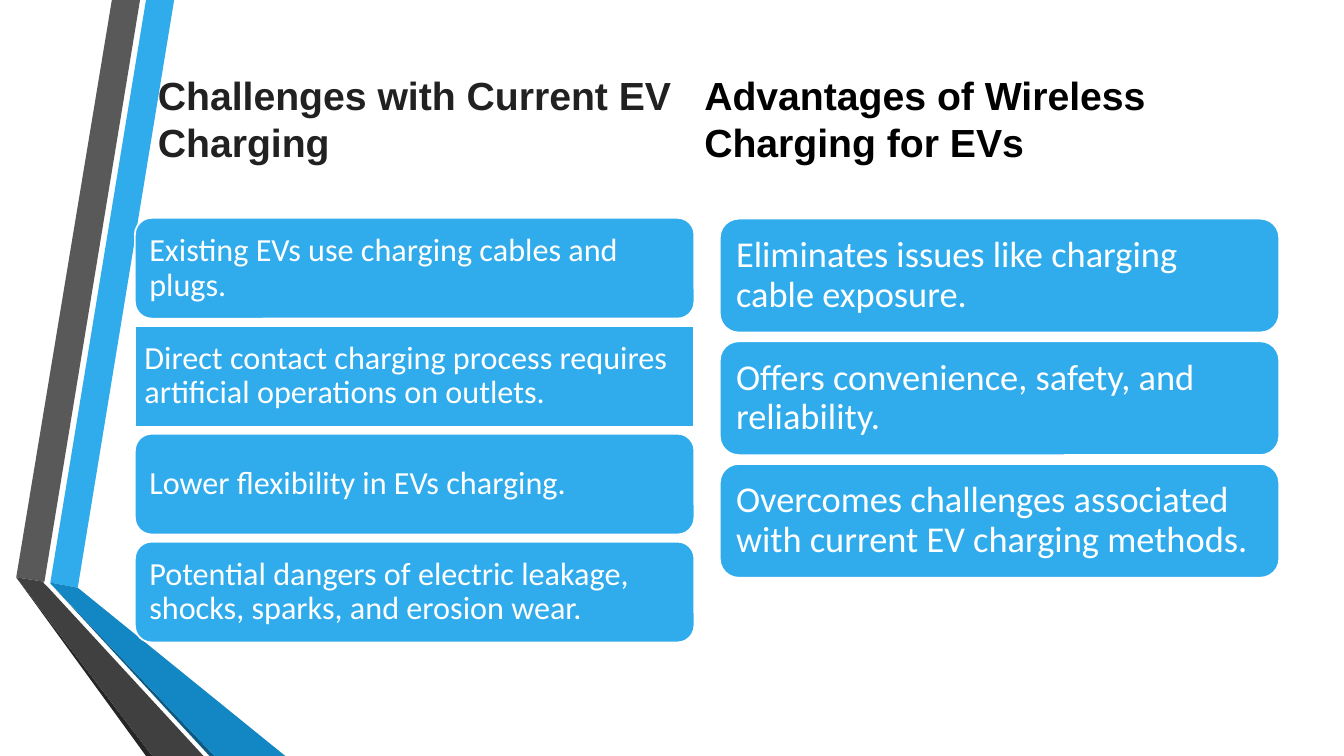
from pptx import Presentation
from pptx.dml.color import RGBColor
from pptx.enum.shapes import MSO_SHAPE
from pptx.enum.text import MSO_ANCHOR, PP_ALIGN
from pptx.util import Cm, Pt

ROUNDED = MSO_SHAPE.ROUNDED_RECTANGLE
SQUARE = MSO_SHAPE.RECTANGLE
MIDDLE = MSO_ANCHOR.MIDDLE
BOTTOM = MSO_ANCHOR.BOTTOM
LEFT = PP_ALIGN.LEFT

BLUE = "30ACEC"
WHITE = "FFFFFF"
CARD_WIDTH = 14.1

RIBBONS = [
    (BLUE, [(1.27, 14.68), (1.96, 14.81), (4.39, 0), (3.68, 0)]),
    ("595959", [(3.53, 0), (2.82, 0), (0.41, 14.55), (1.12, 14.66)]),
    ("262626", [(0.41, 14.55), (3.68, 19.05), (3.84, 19.05)]),
    ("0C5A82", [(1.27, 14.7), (5.28, 19.05), (5.41, 19.05)]),
    ("1287C3", [(1.27, 14.7), (5.41, 19.05), (7.19, 19.05), (1.96, 14.81), (1.27, 14.68)]),
    ("404040", [(5.13, 19.05), (1.22, 14.81), (1.09, 14.68), (1.12, 14.66),
                (0.41, 14.55), (3.84, 19.05)]),
]
CHALLENGES = [
    ("Existing EVs use charging cables and plugs.", ROUNDED),
    ("Direct contact charging process requires artificial operations on outlets.", SQUARE),
    ("Lower flexibility in EVs charging.", ROUNDED),
    ("Potential dangers of electric leakage, shocks, sparks, and erosion wear.", ROUNDED),
]
ADVANTAGES = [
    ("Eliminates issues like charging cable exposure.", ROUNDED),
    ("Offers convenience, safety, and reliability.", ROUNDED),
    ("Overcomes challenges associated with current EV charging methods.", ROUNDED),
]


def color(hex_value):
    """Return the RGB colour for a hex string."""
    return RGBColor.from_string(hex_value)


def fill_shape(shape, hex_value):
    """Give a shape a solid fill and no shadow."""
    shape.shadow.inherit = False
    shape.fill.solid()
    shape.fill.fore_color.rgb = color(hex_value)


def write_text(shape, text, font_name, size, hex_value, anchor):
    """Write one left-aligned paragraph and return it."""
    frame = shape.text_frame
    frame.word_wrap = True
    frame.vertical_anchor = anchor
    paragraph = frame.paragraphs[0]
    paragraph.text = text
    paragraph.alignment = LEFT
    paragraph.font.name = font_name
    paragraph.font.size = Pt(size)
    paragraph.font.color.rgb = color(hex_value)
    return paragraph


def add_ribbon(slide, hex_value, points):
    """Draw one closed polygon of the folded ribbon."""
    corners = [(Cm(x), Cm(y)) for x, y in points]
    builder = slide.shapes.build_freeform(*corners[0])
    builder.add_line_segments(corners[1:], close=True)
    shape = builder.convert_to_shape()
    fill_shape(shape, hex_value)
    shape.line.fill.background()


def add_heading(slide, text, left, width, hex_value):
    """Add a bold column heading."""
    box = slide.shapes.add_textbox(Cm(left), Cm(1.75), Cm(width), Cm(2.54))
    paragraph = write_text(box, text, "Arial", 28, hex_value, BOTTOM)
    paragraph.font.bold = True
    paragraph.space_before = Pt(5.6)
    paragraph.space_after = Pt(6)


def add_cards(slide, cards, left, top, height, pitch, size, inset):
    """Stack the cards of one column at an equal pitch."""
    for index, (text, outline) in enumerate(cards):
        card = slide.shapes.add_shape(
            outline, Cm(left), Cm(top + index * pitch), Cm(CARD_WIDTH), Cm(height))
        fill_shape(card, BLUE)
        card.line.color.rgb = color(WHITE)
        card.line.width = Pt(1.25)
        frame = card.text_frame
        frame.margin_left = frame.margin_right = Cm(inset)
        frame.margin_top = frame.margin_bottom = Cm(inset)
        paragraph = write_text(card, text, "Calibri", size, WHITE, MIDDLE)
        paragraph.line_spacing = 0.9


def main():
    """Build and save the slide."""
    presentation = Presentation()
    presentation.slide_width = Cm(33.87)
    presentation.slide_height = Cm(19.05)
    slide = presentation.slides.add_slide(presentation.slide_layouts[6])
    for hex_value, points in RIBBONS:
        add_ribbon(slide, hex_value, points)
    add_heading(slide, "Challenges with Current EV Charging", 3.73, 13.77, "212121")
    add_cards(slide, CHALLENGES, 3.4, 5.49, 2.54, 2.72, 23, 0.24)
    add_heading(slide, "Advantages of Wireless Charging for EVs", 17.5, 14.12, "000000")
    add_cards(slide, ADVANTAGES, 18.14, 5.51, 2.87, 3.09, 26, 0.27)
    presentation.save("out.pptx")


if __name__ == "__main__":
    main()
